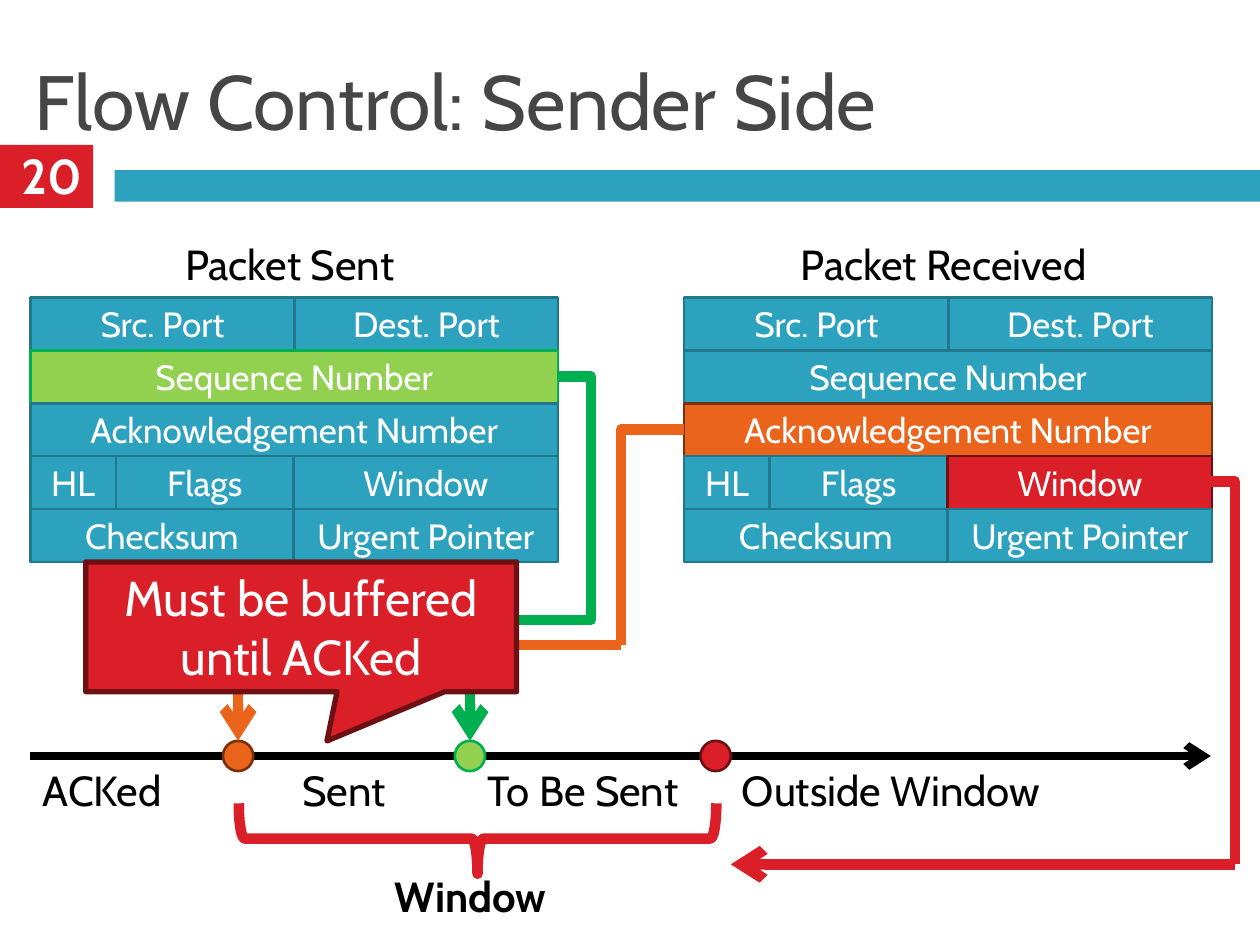
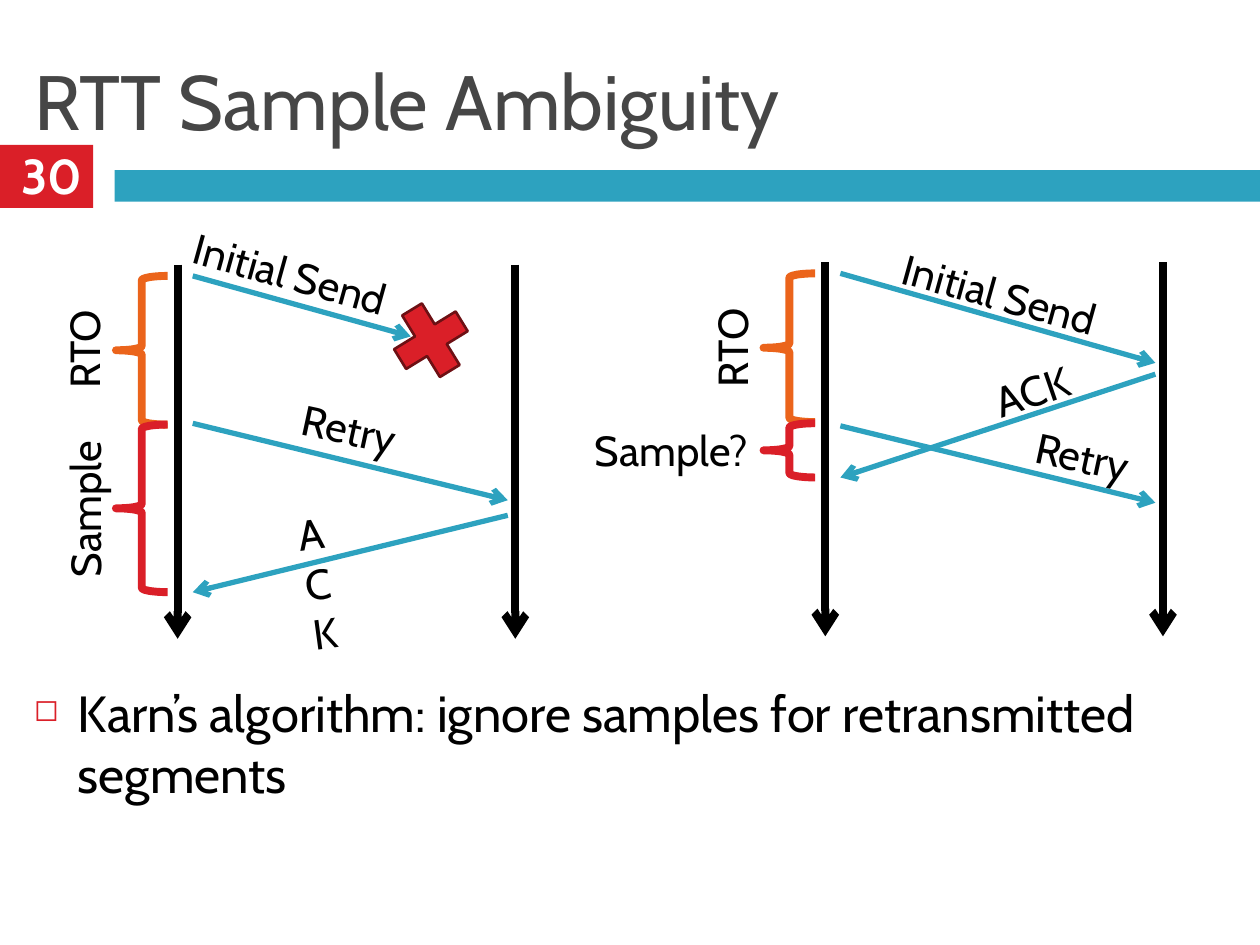
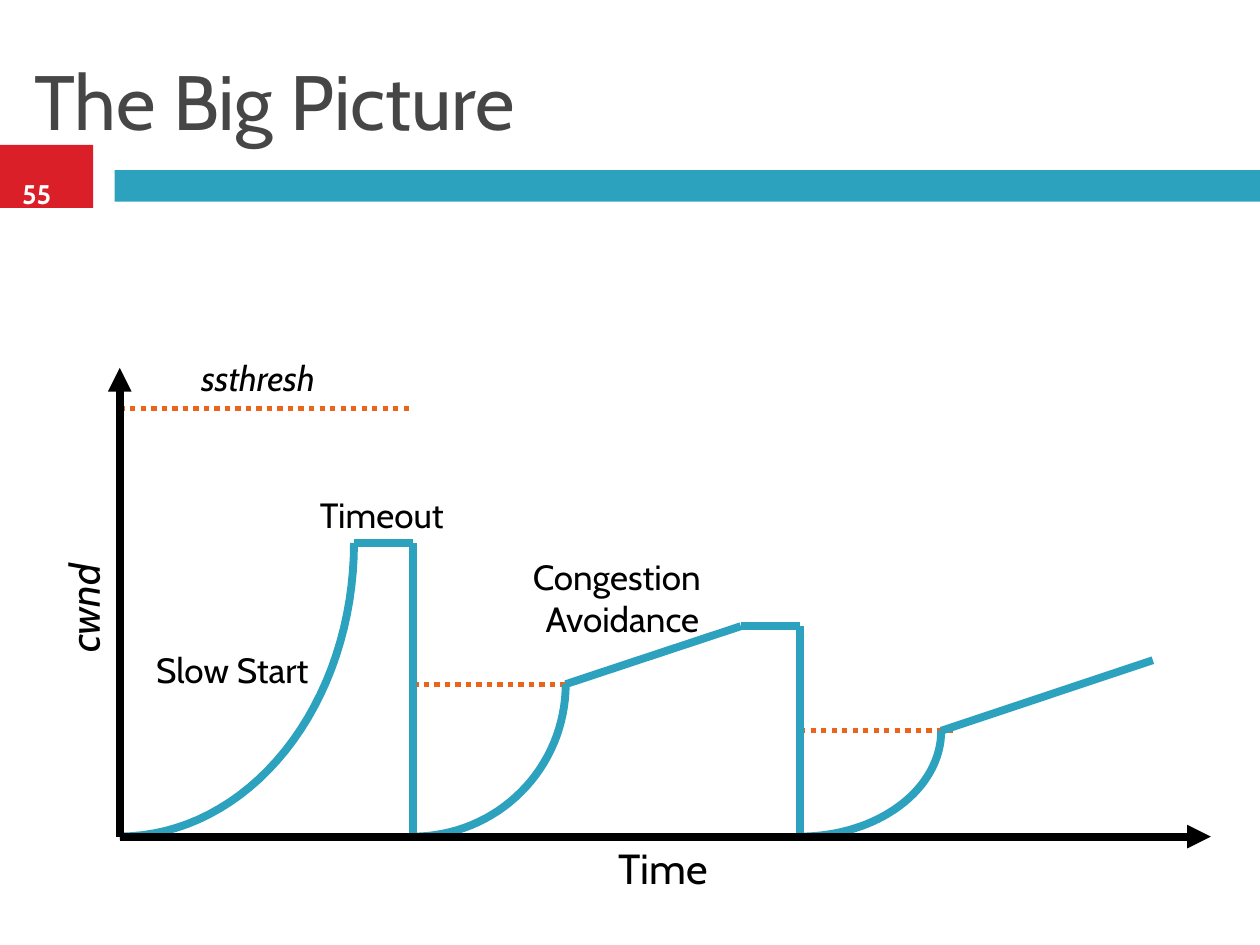
from math import cos, pi, sin

from lxml.etree import SubElement
from pptx import Presentation
from pptx.dml.color import RGBColor
from pptx.enum.dml import MSO_LINE
from pptx.enum.shapes import MSO_CONNECTOR, MSO_SHAPE
from pptx.enum.text import MSO_ANCHOR, MSO_AUTO_SIZE, PP_ALIGN
from pptx.oxml.ns import qn
from pptx.util import Inches, Pt

# Colours and font
BLACK = RGBColor(0x00, 0x00, 0x00)
WHITE = RGBColor(0xFF, 0xFF, 0xFF)
GRAY = RGBColor(0x46, 0x46, 0x46)
TEAL = RGBColor(0x2D, 0xA2, 0xBF)
RED = RGBColor(0xDA, 0x1F, 0x28)
ORANGE = RGBColor(0xEB, 0x64, 0x1B)
LIME = RGBColor(0x92, 0xD0, 0x50)
GREEN = RGBColor(0x00, 0xB0, 0x50)
EDGES = {
    TEAL: RGBColor(0x21, 0x78, 0x8D),
    RED: RGBColor(0x6D, 0x10, 0x14),
    ORANGE: RGBColor(0x78, 0x31, 0x0B),
    LIME: GREEN,
}
FONT = "Cabin"
LEFT, MID = PP_ALIGN.LEFT, PP_ALIGN.CENTER


# Shared helpers
def style(item, **values):
    for name, value in values.items():
        setattr(item, name, value)


def write(frame, text, size, color=BLACK, align=LEFT, wrap=True,
          anchor=MSO_ANCHOR.TOP, **extra):
    style(frame, text=text, word_wrap=wrap, vertical_anchor=anchor,
          auto_size=MSO_AUTO_SIZE.NONE)
    for para in frame.paragraphs:
        para.alignment = align
        for run in para.runs:
            style(run.font, name=FONT, size=Pt(size), **extra)
            run.font.color.rgb = color


def note(slide, box, text, size=24, rot=0, **extra):
    label = slide.shapes.add_textbox(*map(Inches, box))
    label.rotation = rot
    write(label.text_frame, text, size, **extra)
    return label


def paint(shape, fill=None, edge=None, width=1.5):
    shape.shadow.inherit = False
    if fill is None:
        shape.fill.background()
    else:
        shape.fill.solid()
        shape.fill.fore_color.rgb = fill
    if edge is None:
        shape.line.fill.background()
    else:
        shape.line.color.rgb = edge
        shape.line.width = Pt(width)


def block(slide, kind, box, fill=None, edge=None, width=1.5, rot=0):
    shape = slide.shapes.add_shape(kind, *map(Inches, box))
    shape.rotation = rot
    paint(shape, fill, edge, width)
    return shape


def link(slide, start, end, color, width, tip=None, dash=None,
         kind=MSO_CONNECTOR.STRAIGHT):
    wire = slide.shapes.add_connector(kind, *map(Inches, (*start, *end)))
    wire.line.color.rgb = color
    wire.line.width = Pt(width)
    if dash:
        wire.line.dash_style = dash
    props = wire._element.spPr
    if tip:
        SubElement(props.find(qn("a:ln")), qn("a:tailEnd"), type=tip)
    SubElement(props, qn("a:effectLst"))
    return wire


def corner(slide, start, end, color, tip=None):
    """One bend: across first, then down."""
    wire = link(slide, start, end, color, 6, tip, kind=MSO_CONNECTOR.ELBOW)
    wire._element.spPr.find(qn("a:prstGeom")).set("prst", "bentConnector2")


def page(deck, title, number, box=(0, 1.07, 0.82, 0.64), size=28):
    slide = deck.slides.add_slide(deck.slide_layouts[5])
    block(slide, MSO_SHAPE.RECTANGLE, (0, 1.15, 0.74, 0.5), RED)
    block(slide, MSO_SHAPE.RECTANGLE, (0.91, 1.35, 9.35, 0.25), TEAL)
    head = slide.shapes.title
    style(head, left=Inches(0.17), top=Inches(0.25),
          width=Inches(9.67), height=Inches(1.08))
    write(head.text_frame, title, 44, GRAY, anchor=MSO_ANCHOR.MIDDLE)
    note(slide, box, number, size, color=WHITE, align=MID, bold=True,
         anchor=MSO_ANCHOR.MIDDLE)
    return slide


# Flow control
ROW = 0.42
FIELDS = [
    [("Src. Port", 2.1), ("Dest. Port", 2.09)],
    [("Sequence Number", 4.19)],
    [("Acknowledgement Number", 4.19)],
    [("HL", 0.68), ("Flags", 1.41), ("Window", 2.1)],
    [("Checksum", 2.09), ("Urgent Pointer", 2.1)],
]


def packet(slide, x, y, name, width, hot):
    note(slide, (x + 2.06 - width / 2, y - 0.52, width, 0.5), name,
         align=MID, wrap=False)
    for row, fields in enumerate(FIELDS):
        left = x
        for text, span in fields:
            fill = hot.get(text, TEAL)
            cell = block(slide, MSO_SHAPE.RECTANGLE,
                         (left, y + row * ROW, span, ROW), fill, EDGES[fill])
            write(cell.text_frame, text, 20, WHITE, MID,
                  anchor=MSO_ANCHOR.MIDDLE)
            left += span


def stream(slide, x, y):
    """Byte line with its marks and zone names."""
    link(slide, (x, y), (x + 9.37, y), BLACK, 4.5, "arrow")
    zones = [("ACKed", 0, 1.27), ("Sent", 2.06, 0.89),
             ("To Be Sent", 3.53, 1.85), ("Outside Window", 5.55, 2.65)]
    for text, dx, width in zones:
        note(slide, (x + dx, y + 0.02, width, 0.5), text, wrap=False)
    for dx, fill in [(1.53, ORANGE), (3.37, LIME), (5.32, RED)]:
        block(slide, MSO_SHAPE.OVAL, (x + dx, y - 0.12, 0.24, 0.24),
              fill, EDGES[fill])


def sender(deck):
    slide = page(deck, "Flow Control: Sender Side", "20")
    packet(slide, 0.24, 2.36, "Packet Sent", 2.02, {"Sequence Number": LIME})
    packet(slide, 5.43, 2.36, "Packet Received", 2.73,
           {"Acknowledgement Number": ORANGE, "Window": RED})
    stream(slide, 0.24, 6)

    # Routes from the fields to the byte line
    corner(slide, (5.43, 3.41), (4.93, 5.12), ORANGE)
    corner(slide, (4.93, 5.12), (1.89, 5.88), ORANGE, "arrow")
    corner(slide, (4.43, 2.99), (4.69, 3.96), GREEN)
    drop = link(slide, (3.25, 4.44), (5.17, 5.4), GREEN, 6, "arrow",
                kind=MSO_CONNECTOR.ELBOW)
    drop.rotation = 90

    # Window span
    block(slide, MSO_SHAPE.LEFT_BRACE, (3.51, 4.76, 0.56, 3.79),
          edge=RED, width=6, rot=270)
    note(slide, (2.99, 6.86, 1.49, 0.68), "Window", align=MID, wrap=False,
         bold=True)
    corner(slide, (9.61, 3.82), (9.8, 6.86), RED)
    link(slide, (9.8, 6.86), (5.8, 6.86), RED, 6, "arrow")

    # Callout
    call = block(slide, MSO_SHAPE.RECTANGULAR_CALLOUT,
                 (0.68, 4.46, 3.42, 1.03), RED, EDGES[RED], 3)
    call.adjustments[0], call.adjustments[1] = 0.06, 0.88
    write(call.text_frame, "Must be buffered until ACKed", 28, WHITE, MID,
          anchor=MSO_ANCHOR.MIDDLE)


# Round trip samples
def trip(slide, x, y, sends, spans):
    for dx in (0, 2.68):
        link(slide, (x + dx, y), (x + dx, y + 2.97), BLACK, 4.5, "arrow")
    for text, (x1, y1), (x2, y2), (dx, dy, width), rot in sends:
        link(slide, (x + x1, y + y1), (x + x2, y + y2), TEAL, 3, "arrow")
        note(slide, (x + dx, y + dy, width, 0.5), text, rot=rot, align=MID)
    for text, color, top, high, (dx, dy, width), rot in spans:
        block(slide, MSO_SHAPE.LEFT_BRACE, (x - 0.49, y + top, 0.41, high),
              edge=color, width=4.5)
        note(slide, (x + dx, y + dy, width, 0.5), text, rot=rot, align=MID)


def bullet(slide, box, text):
    label = note(slide, box, text, 29)
    para = label.text_frame.paragraphs[0]
    para.space_before = Pt(7)
    props = para._p.get_or_add_pPr()
    props.set("marL", str(Inches(0.35)))
    props.set("indent", str(Inches(-0.35)))
    tint = SubElement(props, qn("a:buClr"))
    SubElement(tint, qn("a:srgbClr"), val=str(RED))
    SubElement(props, qn("a:buSzPct"), val="60000")
    SubElement(props, qn("a:buChar"), char="◻")


def sample(deck):
    slide = page(deck, "RTT Sample Ambiguity", "30")
    bullet(slide, (0.17, 5.36, 9.67, 1.97),
           "Karn’s algorithm: ignore samples for retransmitted segments")
    trip(slide, 1.41, 2.1, [
        ("Initial Send", (0.12, 0.09), (1.85, 0.57), (-0.2, -0.18, 2.19), 15.6),
        ("ACK", (2.62, 1.99), (0.12, 2.6), (0.81, 1.88, 0.5), 352.2),
        ("Retry", (0.12, 1.26), (2.62, 1.87), (0.81, 1.05, 1.11), 12.3),
    ], [
        ("RTO", ORANGE, 0.09, 1.18, (-1.28, 0.42, 1.07), 270),
        ("Sample", RED, 1.27, 1.33, (-1.47, 1.69, 1.46), 270),
    ])
    block(slide, MSO_SHAPE.MATH_MULTIPLY, (3.03, 2.31, 0.78, 0.78),
          RED, EDGES[RED], rot=13.5)
    trip(slide, 6.55, 2.08, [
        ("Initial Send", (0.12, 0.09), (2.62, 0.8), (0.29, 0, 2.19), 15.6),
        ("ACK", (2.62, 0.89), (0.12, 1.71), (1.06, 0.77, 1.16), 341),
        ("Retry", (0.12, 1.3), (2.62, 1.91), (1.49, 1.29, 1.11), 12.3),
    ], [
        ("RTO", ORANGE, 0.09, 1.18, (-1.28, 0.43, 1.07), 270),
        ("Sample?", RED, 1.28, 0.43, (-2.01, 1.24, 1.58), 0),
    ])


# Congestion window over time
def curve(slide, x, y, wide, high, steps=32):
    """Quarter ellipse that rises from (x, y)."""
    turns = [pi / 2 * step / steps for step in range(steps + 1)]
    points = [(Inches(x + wide * sin(turn)),
               Inches(y - high * (1 - cos(turn)))) for turn in turns]
    pen = slide.shapes.build_freeform(*points[0])
    pen.add_line_segments(points[1:], close=False)
    paint(pen.convert_to_shape(), edge=TEAL, width=4.5)


def graph(slide, x, y):
    """Plot with its origin at (x, y); heights count upwards."""
    def at(dx, up):
        return x + dx, y - up

    for start, end, up in [(0, 2.33, 3.4), (2.33, 3.54, 1.21),
                           (5.4, 6.61, 0.84)]:
        link(slide, at(start, up), at(end, up), ORANGE, 3,
             dash=MSO_LINE.ROUND_DOT)
    rounds = [
        (0, [(1.86, 2.33), (2.33, 2.33), (2.33, 0)]),
        (2.33, [(3.54, 1.21), (4.93, 1.67), (5.4, 1.67), (5.4, 0)]),
        (5.4, [(6.52, 0.84), (8.2, 1.4)]),
    ]
    for start, points in rounds:
        knee, rise = points[0]
        curve(slide, x + start, y, knee - start, rise)
        for one, two in zip(points, points[1:]):
            link(slide, at(*one), at(*two), TEAL, 4.5)
    for end in [(0, 3.72), (8.66, 0)]:
        link(slide, (x, y), at(*end), BLACK, 4.5, "triangle")

    # Axis and phase names
    names = [
        ("Time", 3.86, 0, 0.94, 0.51, 24, 0, False),
        ("cwnd", -0.78, 2.11, 0.99, 0.51, 24, 270, True),
        ("Timeout", 1.49, 2.77, 1.21, 0.44, 20, 0, False),
        ("Slow Start", 0.19, 1.54, 1.48, 0.44, 20, 0, False),
        ("ssthresh", 0.55, 3.86, 1.26, 0.44, 20, 0, True),
    ]
    for text, dx, up, wide, high, size, rot, slant in names:
        note(slide, (*at(dx, up), wide, high), text, size, rot,
             wrap=False, italic=slant)
    phase = note(slide, (*at(3.18, 2.28), 1.62, 0.77),
                 "Congestion\nAvoidance", 20, wrap=False)
    phase.text_frame.paragraphs[1].alignment = MID


def growth(deck):
    slide = page(deck, "The Big Picture", "55", (0, 1.37, 0.58, 0.33), 15.4)
    graph(slide, 0.95, 6.64)


def main():
    deck = Presentation()
    style(deck, slide_width=Inches(10), slide_height=Inches(7.5))
    for build in (sender, sample, growth):
        build(deck)
    deck.save("out.pptx")


if __name__ == "__main__":
    main()
